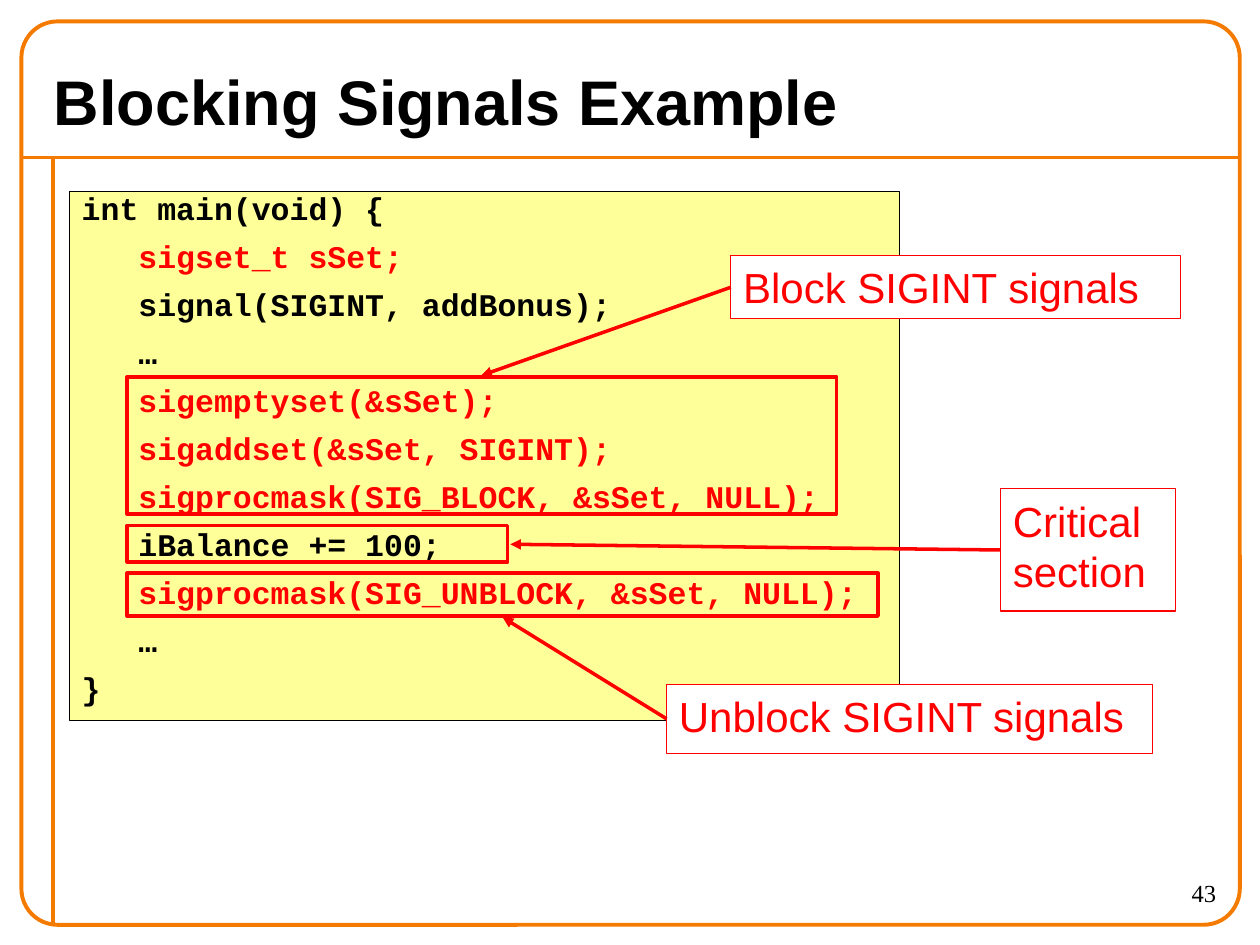
from pptx import Presentation
from pptx.dml.color import RGBColor
from pptx.enum.shapes import MSO_CONNECTOR, MSO_SHAPE
from pptx.enum.text import MSO_ANCHOR, PP_ALIGN
from pptx.oxml.ns import qn
from pptx.util import Inches, Pt
from lxml.etree import SubElement

BLACK = RGBColor(0x00, 0x00, 0x00)
WHITE = RGBColor(0xFF, 0xFF, 0xFF)
RED = RGBColor(0xFF, 0x00, 0x00)
ORANGE = RGBColor(0xF4, 0x7A, 0x00)
YELLOW = RGBColor(0xFF, 0xFF, 0x99)

CODE = [
    ("int main(void) {", BLACK),
    ("   sigset_t sSet;", RED),
    ("   signal(SIGINT, addBonus);", BLACK),
    ("   …", BLACK),
    ("   sigemptyset(&sSet);", RED),
    ("   sigaddset(&sSet, SIGINT);", RED),
    ("   sigprocmask(SIG_BLOCK, &sSet, NULL);", RED),
    ("   iBalance += 100;", BLACK),
    ("   sigprocmask(SIG_UNBLOCK, &sSet, NULL);", RED),
    ("   …", BLACK),
    ("}", BLACK),
]

# highlighted code box, label box, label text, arrow tip
CALLOUTS = [
    ((1.01, 4.17, 3.02, 0.29), (7.94, 3.88, 1.39, 0.97), "Critical\nsection", (4.05, 4.32)),
    ((1.01, 2.99, 5.63, 1.09), (5.8, 2.03, 3.57, 0.5), "Block SIGINT signals", (3.82, 2.98)),
    ((1.01, 4.55, 5.96, 0.34), (5.29, 5.43, 3.86, 0.55), "Unblock SIGINT signals", (3.99, 4.9)),
]


def add_box(s, box, color, width, fill=None, shape=MSO_SHAPE.RECTANGLE):
    sp = s.shapes.add_shape(shape, *map(Inches, box))
    sp.shadow.inherit = False
    if fill is None:
        sp.fill.background()
    else:
        sp.fill.solid()
        sp.fill.fore_color.rgb = fill
    sp.line.color.rgb = color
    sp.line.width = Pt(width)
    sp.text_frame.word_wrap = True
    sp.text_frame.vertical_anchor = MSO_ANCHOR.TOP
    return sp


def add_line(s, start, end, color, width, arrow=False):
    cx = s.shapes.add_connector(MSO_CONNECTOR.STRAIGHT, *map(Inches, start + end))
    cx.line.color.rgb = color
    cx.line.width = Pt(width)
    if arrow:
        SubElement(cx.line._get_or_add_ln(), qn("a:tailEnd"), type="triangle")
    SubElement(cx._element.spPr, qn("a:effectLst"))


def write(p, text, size, name, color, bold=False, align=PP_ALIGN.LEFT):
    p.text = text
    p.alignment = align
    for r in p.runs:
        r.font.size = Pt(size)
        r.font.name = name
        r.font.bold = bold
        r.font.color.rgb = color


def add_text(s, box, text, size, name, anchor=MSO_ANCHOR.TOP, **style):
    tf = s.shapes.add_textbox(*map(Inches, box)).text_frame
    tf.word_wrap = True
    tf.vertical_anchor = anchor
    write(tf.paragraphs[0], text, size, name, BLACK, **style)


def add_frame(s):
    add_line(s, (0.17, 1.25), (9.83, 1.25), ORANGE, 2.25)
    add_line(s, (0.42, 1.25), (0.42, 7.33), ORANGE, 2.25)
    sp = add_box(s, (0.17, 0.17, 9.67, 7.17), ORANGE, 2.25,
                 shape=MSO_SHAPE.ROUNDED_RECTANGLE)
    sp.adjustments[0] = 0.04


def add_code(s):
    tf = add_box(s, (0.55, 1.52, 6.59, 4.2), BLACK, 0.75, YELLOW).text_frame
    for i, (text, color) in enumerate(CODE):
        p = tf.add_paragraph() if i else tf.paragraphs[0]
        write(p, text, 18, "Courier New", color, bold=True)
        p.line_spacing = 0.75
        if i:
            p.space_before = Pt(11.2)


def add_callout(s, target, label, text, tip):
    """Outline some code and point to it from the left edge of a label."""
    add_box(s, target, RED, 2)
    sp = add_box(s, label, RED, 0.75, WHITE)
    write(sp.text_frame.paragraphs[0], text, 24, "Arial", RED)
    left, top, _, height = label
    add_line(s, (left, top + height / 2), tip, RED, 2, arrow=True)


def main():
    prs = Presentation()
    prs.slide_width, prs.slide_height = Inches(10), Inches(7.5)
    s = prs.slides.add_slide(prs.slide_layouts[6])
    add_frame(s)
    add_text(s, (8.75, 6.92, 1, 0.42), "43", 14, "Times New Roman", align=PP_ALIGN.RIGHT)
    add_text(s, (0.33, 0.42, 8.82, 0.75), "Blocking Signals Example", 36, "Arial",
             anchor=MSO_ANCHOR.MIDDLE, bold=True)
    add_code(s)
    for callout in CALLOUTS:
        add_callout(s, *callout)
    prs.save("out.pptx")


if __name__ == "__main__":
    main()
